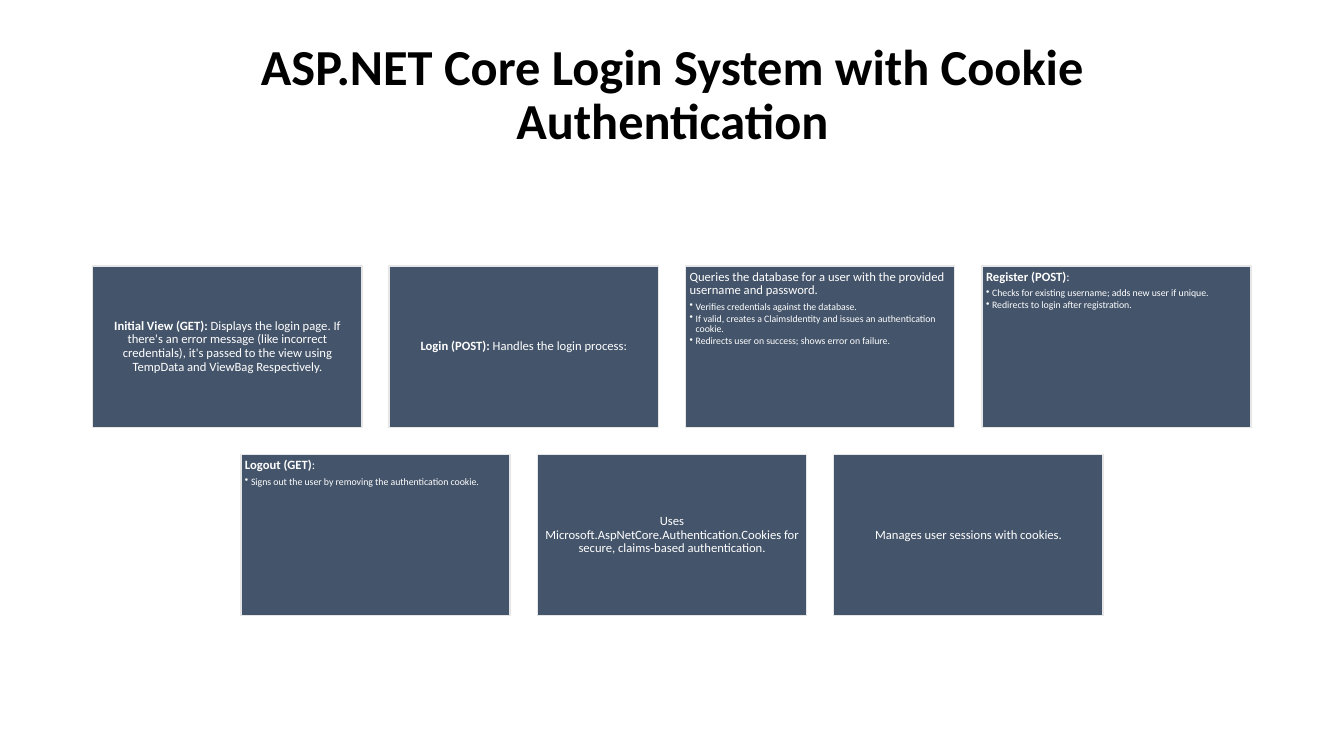
from dataclasses import dataclass

from lxml import etree
from pptx import Presentation
from pptx.dml.color import RGBColor
from pptx.enum.shapes import MSO_SHAPE
from pptx.enum.text import MSO_ANCHOR, MSO_AUTO_SIZE, PP_ALIGN
from pptx.oxml.ns import qn
from pptx.util import Inches, Pt

RECTANGLE = MSO_SHAPE.RECTANGLE
TOP, MIDDLE = MSO_ANCHOR.TOP, MSO_ANCHOR.MIDDLE
LEFT, CENTER = PP_ALIGN.LEFT, PP_ALIGN.CENTER
TITLE_ONLY = 5


@dataclass
class Theme:
    font: str = "Calibri"
    title_color: RGBColor = RGBColor(0x00, 0x00, 0x00)
    card_fill: RGBColor = RGBColor(0x44, 0x54, 0x6A)
    card_line: RGBColor = RGBColor(0xE7, 0xE6, 0xE6)
    card_text: RGBColor = RGBColor(0xFF, 0xFF, 0xFF)
    title_size: int = 36
    lead_size: int = 9
    bullet_size: int = 7
    line_spacing: float = 0.9


theme = Theme()


def add_span(para, text, size, color, bold=False):
    span = para.add_run()
    span.text = text
    span.font.name = theme.font
    span.font.size = Pt(size)
    span.font.bold = bold
    span.font.color.rgb = color


def format_bullet(para, indent):
    properties = para._p.get_or_add_pPr()
    properties.set("marL", str(indent))
    properties.set("indent", str(-indent))
    etree.SubElement(properties, qn("a:buChar")).set("char", "•")


# Each card: bold lead, plain lead, bullets
rows = [
    [
        ("Initial View (GET):",
         " Displays the login page. If there's an error message (like incorrect "
         "credentials), it's passed to the view using TempData and ViewBag Respectively.", []),
        ("Login (POST):", " Handles the login process:", []),
        ("", "Queries the database for a user with the provided username and password.",
         ["Verifies credentials against the database.",
          "If valid, creates a ClaimsIdentity and issues an authentication cookie.",
          "Redirects user on success; shows error on failure."]),
        ("Register (POST)", ":",
         ["Checks for existing username; adds new user if unique.",
          "Redirects to login after registration."]),
    ],
    [
        ("Logout (GET)", ":", ["Signs out the user by removing the authentication cookie."]),
        ("", "Uses Microsoft.AspNetCore.Authentication.Cookies for secure, "
             "claims-based authentication.", []),
        ("", "Manages user sessions with cookies.", []),
    ],
]

deck = Presentation()
deck.slide_width, deck.slide_height = Inches(13.33), Inches(7.5)
page = deck.slides.add_slide(deck.slide_layouts[TITLE_ONLY])

# Title, raised by a deep bottom margin
title = page.shapes.title
title.left, title.top = Inches(0.92), Inches(0.61)
title.width, title.height = Inches(11.5), Inches(1.24)
frame = title.text_frame
frame.word_wrap = True
frame.auto_size = MSO_AUTO_SIZE.NONE
frame.vertical_anchor = MIDDLE
frame.margin_bottom = Inches(0.6)
para = frame.paragraphs[0]
para.alignment = CENTER
para.line_spacing = theme.line_spacing
add_span(para, "ASP.NET Core Login System with Cookie Authentication",
         theme.title_size, theme.title_color, bold=True)

# Card grid, every row centred on the slide
card_width, card_height, gap = Inches(2.67), Inches(1.6), Inches(0.27)
grid_top, inset, bullet_indent = Inches(2.64), Inches(0.04), Inches(0.06)

for row_index, cards in enumerate(rows):
    row_width = len(cards) * (card_width + gap) - gap
    row_left = (deck.slide_width - row_width) // 2
    row_top = grid_top + row_index * (card_height + gap)

    for column, (bold_lead, lead, bullets) in enumerate(cards):
        box = page.shapes.add_shape(RECTANGLE, row_left + column * (card_width + gap),
                                    row_top, card_width, card_height)
        box.shadow.inherit = False
        box.fill.solid()
        box.fill.fore_color.rgb = theme.card_fill
        box.line.color.rgb = theme.card_line
        box.line.width = Pt(1)

        frame = box.text_frame
        frame.word_wrap = True
        frame.vertical_anchor = TOP if bullets else MIDDLE
        frame.margin_left = frame.margin_right = inset
        frame.margin_top = frame.margin_bottom = inset

        # Lead line
        para = frame.paragraphs[0]
        para.alignment = LEFT if bullets else CENTER
        para.line_spacing = theme.line_spacing
        para.space_after = Pt(0.35 * theme.lead_size)
        if bold_lead:
            add_span(para, bold_lead, theme.lead_size, theme.card_text, bold=True)
        add_span(para, lead, theme.lead_size, theme.card_text)

        # Details
        for bullet in bullets:
            para = frame.add_paragraph()
            para.level = 1
            para.alignment = LEFT
            para.line_spacing = theme.line_spacing
            para.space_after = Pt(0.15 * theme.bullet_size)
            format_bullet(para, bullet_indent)
            add_span(para, bullet, theme.bullet_size, theme.card_text)

deck.save("out.pptx")
